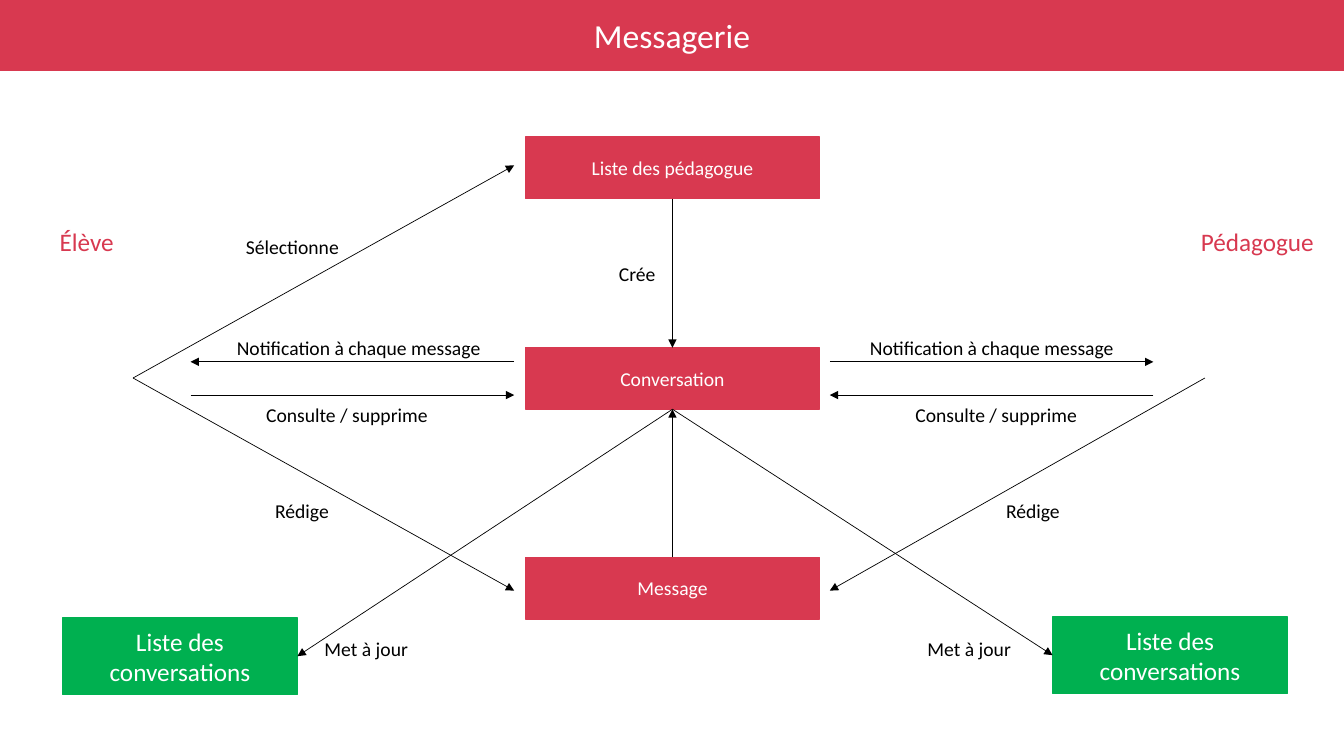
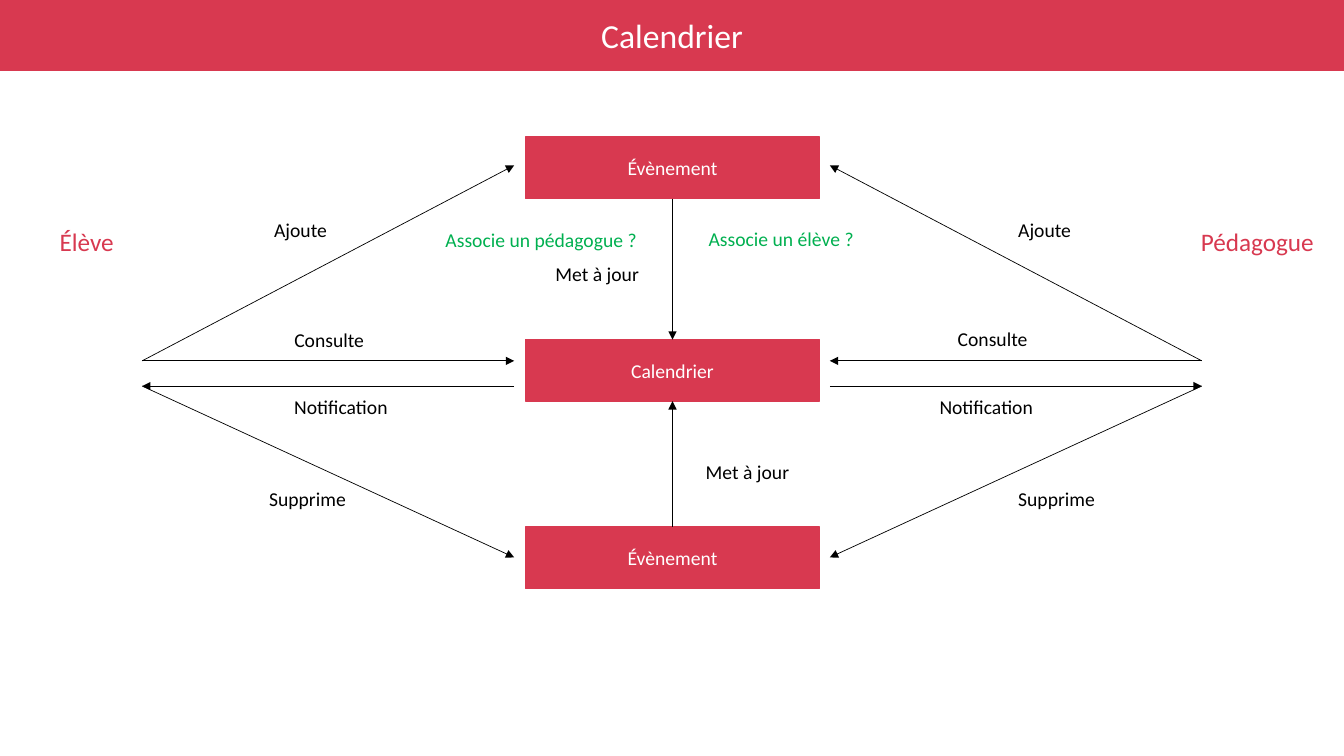
"""Build the messaging and calendar flow slides."""
from dataclasses import dataclass

from lxml import etree
from pptx import Presentation
from pptx import util as u
from pptx.dml.color import RGBColor
from pptx.enum import shapes, text
from pptx.oxml import ns


@dataclass(frozen=True)
class Theme:
    font: str = "Calibri"
    red: str = "D83950"
    green: str = "00B050"
    white: str = "FFFFFF"
    black: str = "000000"
    title: int = 24
    role: int = 18
    body: int = 14
    edge: float = 1
    arrow: float = 0.5


T = Theme()
WIDTH, HEIGHT = 13.33, 7.5
BAND = (0, 0, WIDTH, 0.7)
TITLE = (3.12, 0.1, 7.09, 0.5)
BOX_LEFT, BOX_W, BOX_H = 5.21, 2.92, 0.61
LIST_W, LIST_H = 2.33, 0.76
INNER_L, INNER_R = 5.1, 8.23
LABEL_H, ROLE_H = 0.34, 0.4
TOP, LEFT, BOTTOM, RIGHT = range(4)
ROLES = [("Élève", 0.31, 2.2, 1.1), ("Pédagogue", 11.66, 2.2, 1.62)]

SLIDES = [
    {
        "title": "Messagerie",
        "steps": [("Liste des pédagogue", 1.36), ("Conversation", 3.45), ("Message", 5.53)],
        "lists": [("Liste des conversations", 0.62, 6.13), ("Liste des conversations", 10.44, 6.12)],
        "links": [(0, BOTTOM, 1, TOP), (2, TOP, 1, BOTTOM), (1, BOTTOM, 3, RIGHT), (1, BOTTOM, 4, LEFT)],
        "mirrored": [((INNER_L, 3.59), (1.89, 3.59)), ((1.89, 3.92), (INNER_L, 3.92))],
        "arrows": [
            ((1.32, 3.75), (INNER_L, 1.64)),
            ((1.32, 3.75), (INNER_L, 5.86)),
            ((11.95, 3.75), (INNER_R, 5.86)),
        ],
        "labels": [
            ("Sélectionne", 2.34, 2.28, 1.17),
            ("Crée", 6.04, 2.55, 0.78),
            ("Notification à chaque message", 2.25, 3.28, 2.69),
            ("Notification à chaque message", 8.53, 3.28, 2.69),
            ("Consulte / supprime", 2.54, 3.95, 1.81),
            ("Consulte / supprime", 8.98, 3.95, 1.81),
            ("Rédige", 2.63, 4.9, 1.17),
            ("Rédige", 9.88, 4.9, 1.17),
            ("Met à jour", 3.12, 6.27, 1.17),
            ("Met à jour", 9.1, 6.27, 1.17),
        ],
        "questions": [],
    },
    {
        "title": "Calendrier",
        "steps": [("Évènement", 1.36), ("Calendrier", 3.37), ("Évènement", 5.23)],
        "lists": [],
        "links": [(0, BOTTOM, 1, TOP), (2, TOP, 1, BOTTOM)],
        "mirrored": [
            ((1.41, 3.58), (INNER_L, 1.64)),
            ((1.41, 3.58), (INNER_L, 3.58)),
            ((INNER_L, 3.83), (1.41, 3.83)),
            ((1.41, 3.83), (INNER_L, 5.53)),
        ],
        "arrows": [],
        "labels": [
            ("Ajoute", 2.62, 2.11, 1.11),
            ("Ajoute", 10, 2.11, 1.11),
            ("Supprime", 2.57, 4.78, 1.11),
            ("Supprime", 10, 4.78, 1.11),
            ("Met à jour", 5.41, 2.55, 1.11),
            ("Met à jour", 6.9, 4.51, 1.11),
            ("Consulte", 2.82, 3.2, 1.11),
            ("Consulte", 9.4, 3.19, 1.11),
            ("Notification", 2.82, 3.87, 1.33),
            ("Notification", 9.22, 3.87, 1.33),
        ],
        "questions": [
            ("Associe un élève ?", 6.93, 2.2, 1.71),
            ("Associe un pédagogue ?", 4.32, 2.21, 2.19),
        ],
    },
]


def inches(values):
    return [u.Inches(v) for v in values]


def assign(obj, values):
    for name, value in values.items():
        setattr(obj, name, value)


def write(sp, words, size, color, align=text.PP_ALIGN.CENTER, anchor=text.MSO_ANCHOR.TOP):
    tf = sp.text_frame
    assign(tf, {"word_wrap": True, "vertical_anchor": anchor})
    p = tf.paragraphs[0]
    p.alignment = align
    r = p.add_run()
    r.text = words
    assign(r.font, {"name": T.font, "size": u.Pt(size)})
    r.font.color.rgb = RGBColor.from_string(color)


def add_box(s, at, color, words="", size=T.body):
    sp = s.shapes.add_shape(shapes.MSO_SHAPE.RECTANGLE, *inches(at))
    sp.shadow.inherit = False
    for fill in (sp.fill, sp.line.fill):
        fill.solid()
        fill.fore_color.rgb = RGBColor.from_string(color)
    sp.line.width = u.Pt(T.edge)
    if words:
        write(sp, words, size, T.white, anchor=text.MSO_ANCHOR.MIDDLE)
    return sp


def add_text(s, label, height, size, color, align=text.PP_ALIGN.LEFT):
    words, x, y, w = label
    sp = s.shapes.add_textbox(*inches((x, y, w, height)))
    write(sp, words, size, color, align)
    sp.text_frame.auto_size = text.MSO_AUTO_SIZE.SHAPE_TO_FIT_TEXT


def add_arrow(s, start=(0, 0), end=(0, 0)):
    c = s.shapes.add_connector(shapes.MSO_CONNECTOR.STRAIGHT, *inches(start + end))
    c.line.width = u.Pt(T.arrow)
    c.line.color.rgb = RGBColor.from_string(T.black)
    sp_pr = c.element.spPr
    etree.SubElement(sp_pr.find(ns.qn("a:ln")), ns.qn("a:tailEnd"), type="triangle")
    etree.SubElement(sp_pr, ns.qn("a:effectLst"))
    return c


def mirror(point):
    return WIDTH - point[0], point[1]


def add_header(s, words):
    band = add_box(s, BAND, T.red)
    title = s.shapes.title
    assign(title, dict(zip(("left", "top", "width", "height"), inches(TITLE))))
    write(title, words, T.title, T.white)
    title.text_frame.auto_size = text.MSO_AUTO_SIZE.SHAPE_TO_FIT_TEXT
    band.element.addnext(title.element)


def build(prs, content):
    s = prs.slides.add_slide(prs.slide_layouts[5])
    add_header(s, content["title"])
    boxes = [add_box(s, (BOX_LEFT, y, BOX_W, BOX_H), T.red, words) for words, y in content["steps"]]
    boxes += [add_box(s, (x, y, LIST_W, LIST_H), T.green, words, T.role) for words, x, y in content["lists"]]
    for source, out_site, target, in_site in content["links"]:
        c = add_arrow(s)
        c.begin_connect(boxes[source], out_site)
        c.end_connect(boxes[target], in_site)
    for start, end in content["mirrored"]:
        add_arrow(s, start, end)
        add_arrow(s, mirror(start), mirror(end))
    for start, end in content["arrows"]:
        add_arrow(s, start, end)
    for role in ROLES:
        add_text(s, role, ROLE_H, T.role, T.red, text.PP_ALIGN.CENTER)
    for key, color in (("labels", T.black), ("questions", T.green)):
        for label in content[key]:
            add_text(s, label, LABEL_H, T.body, color)


prs = Presentation()
assign(prs, {"slide_width": u.Inches(WIDTH), "slide_height": u.Inches(HEIGHT)})
for content in SLIDES:
    build(prs, content)
prs.save("out.pptx")
